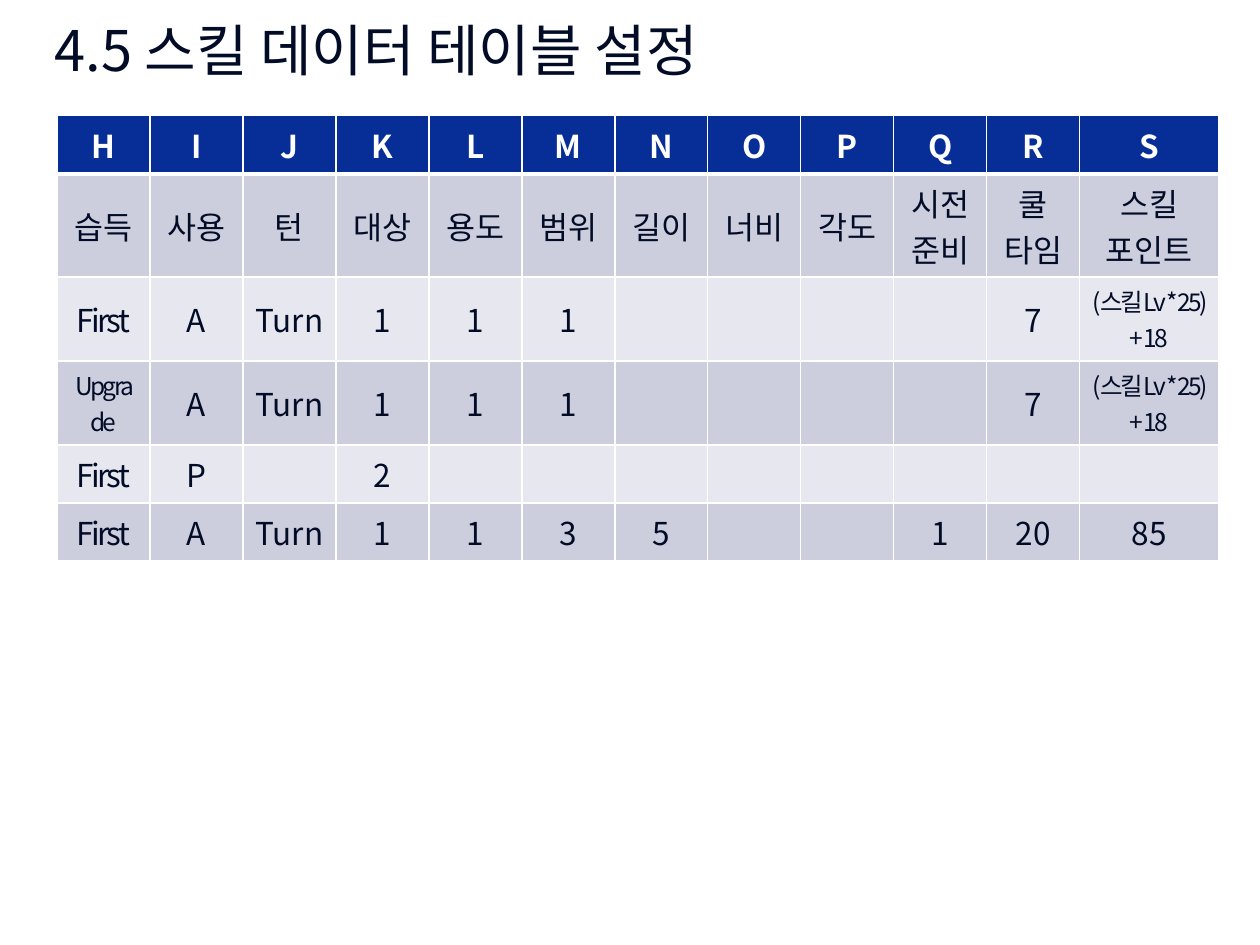
"""Build the skill data table slide."""
from lxml import etree
from pptx import Presentation
from pptx.dml.color import RGBColor
from pptx.enum.text import MSO_ANCHOR, PP_ALIGN
from pptx.oxml.ns import qn
from pptx.util import Pt

MIDDLE = MSO_ANCHOR.MIDDLE
CENTER = PP_ALIGN.CENTER
PX = 914400 // 126
FONT = "Noto Sans CJK KR"
COLORS = {"ink": "020C27", "white": "FFFFFF", "head": "072E96",
          "dark": "CCCDDD", "light": "E7E8EF"}

TITLE = "4.5 스킬 데이터 테이블 설정"
POINTS = "(스킬Lv * 25) + 18"
ROWS = [
    list("HIJKLMNOPQRS"),
    ["습득", "사용", "턴", "대상", "용도", "범위", "길이", "너비", "각도",
     "시전\n준비", "쿨\n타임", "스킬\n포인트"],
    ["First", "A", "Turn", "1", "1", "1", "", "", "", "", "7", POINTS],
    ["Upgrade", "A", "Turn", "1", "1", "1", "", "", "", "", "7", POINTS],
    ["First", "P", "", "2", "", "", "", "", "", "", "", ""],
    ["First", "A", "Turn", "1", "1", "3", "5", "", "", "1", "20", "85"],
]
SMALL = {"Upgrade", POINTS}
TIGHT = SMALL | {"First"}
TITLE_BOX = (42, 0, 1134, 98)
TABLE_LEFT, TABLE_TOP = 57, 115
COL_WIDTHS = [93] * 11 + [139]
ROW_HEIGHTS = [59, 103, 84, 84, 58, 58]


def px(*values):
    return [v * PX for v in values]


def style_text(tf, size, color, bold=False, spacing=0):
    for p in tf.paragraphs:
        for r in p.runs:
            r.font.size = Pt(size)
            r.font.name = FONT
            r.font.bold = bold
            r.font.color.rgb = RGBColor.from_string(COLORS[color])
            rPr = r.font._element
            etree.SubElement(rPr, qn("a:ea"), typeface=FONT)
            rPr.set("kern", "0")
            if spacing:
                rPr.set("spc", str(spacing))


def add_borders(cell, top, bottom):
    tcPr = cell._tc.get_or_add_tcPr()
    for tag, width in (("lnL", 1), ("lnR", 1), ("lnT", top), ("lnB", bottom)):
        ln = etree.SubElement(tcPr, qn(f"a:{tag}"), w=str(Pt(width)))
        fill = etree.SubElement(ln, qn("a:solidFill"))
        etree.SubElement(fill, qn("a:srgbClr"), val=COLORS["white"])


def add_title(slide):
    sp = slide.shapes.add_textbox(*px(*TITLE_BOX))
    tf = sp.text_frame
    tf.word_wrap = True
    tf.vertical_anchor = MIDDLE
    tf.text = TITLE
    style_text(tf, 32, "ink")


def fill_cell(cell, text, row):
    head = row == 0
    add_borders(cell, 3 if row == 1 else 1, 3 if head else 1)
    band = "head" if head else "dark" if row % 2 else "light"
    cell.fill.solid()
    cell.fill.fore_color.rgb = RGBColor.from_string(COLORS[band])
    cell.vertical_anchor = MIDDLE
    if not text:
        return
    tf = cell.text_frame
    tf.text = text
    for p in tf.paragraphs:
        p.alignment = CENTER
    style_text(tf, 14 if text in SMALL else 18, "white" if head else "ink",
               head, -150 if text in TIGHT else 0)


def add_skill_table(slide):
    box = px(TABLE_LEFT, TABLE_TOP, sum(COL_WIDTHS), sum(ROW_HEIGHTS))
    table = slide.shapes.add_table(len(ROWS), len(COL_WIDTHS), *box).table
    for col, width in zip(table.columns, px(*COL_WIDTHS)):
        col.width = width
    for row, height in zip(table.rows, px(*ROW_HEIGHTS)):
        row.height = height
    for i, texts in enumerate(ROWS):
        for j, text in enumerate(texts):
            fill_cell(table.cell(i, j), text, i)


def main():
    prs = Presentation()
    prs.slide_width, prs.slide_height = px(1260, 945)
    slide = prs.slides.add_slide(prs.slide_layouts[6])
    add_title(slide)
    add_skill_table(slide)
    prs.save("out.pptx")


if __name__ == "__main__":
    main()
